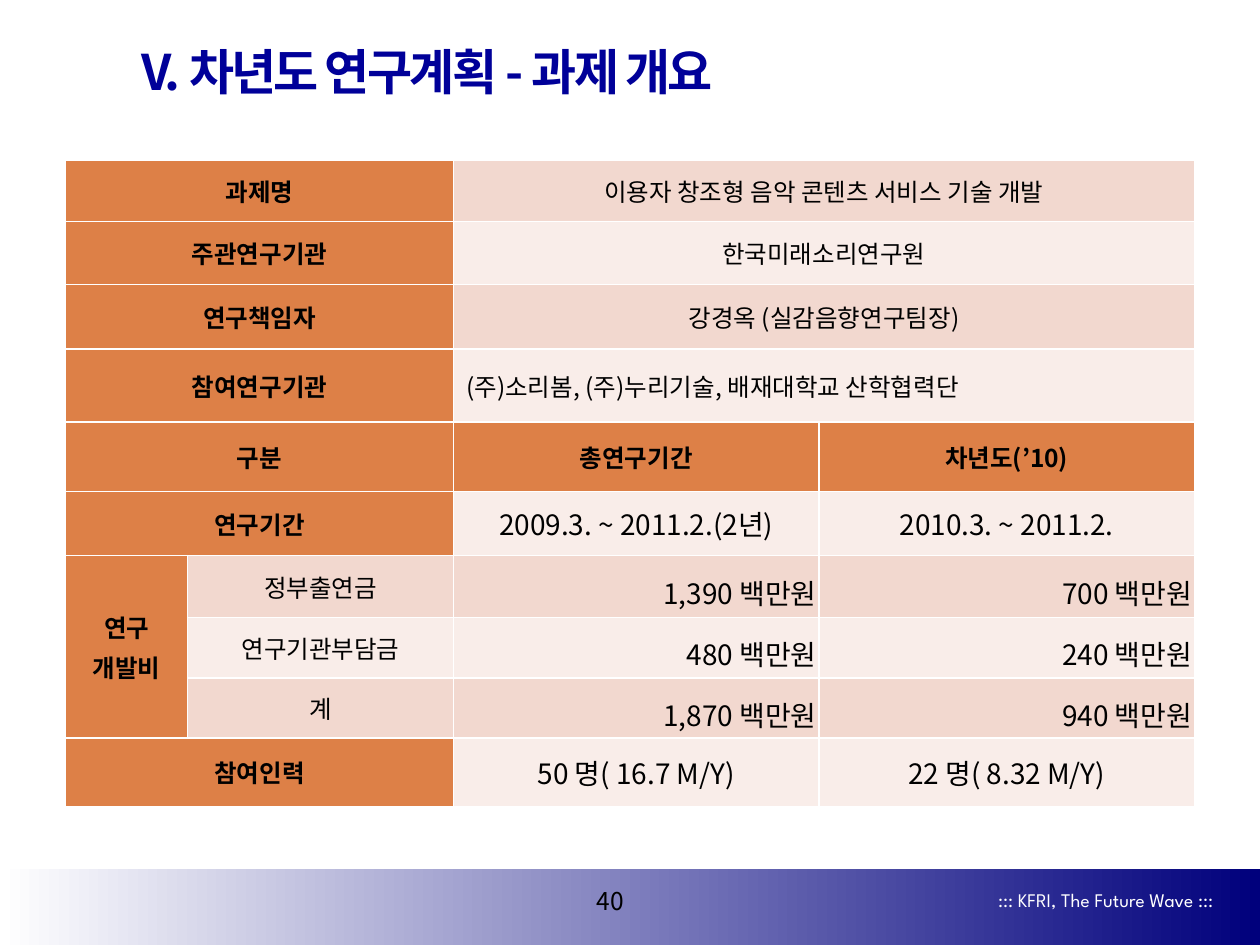
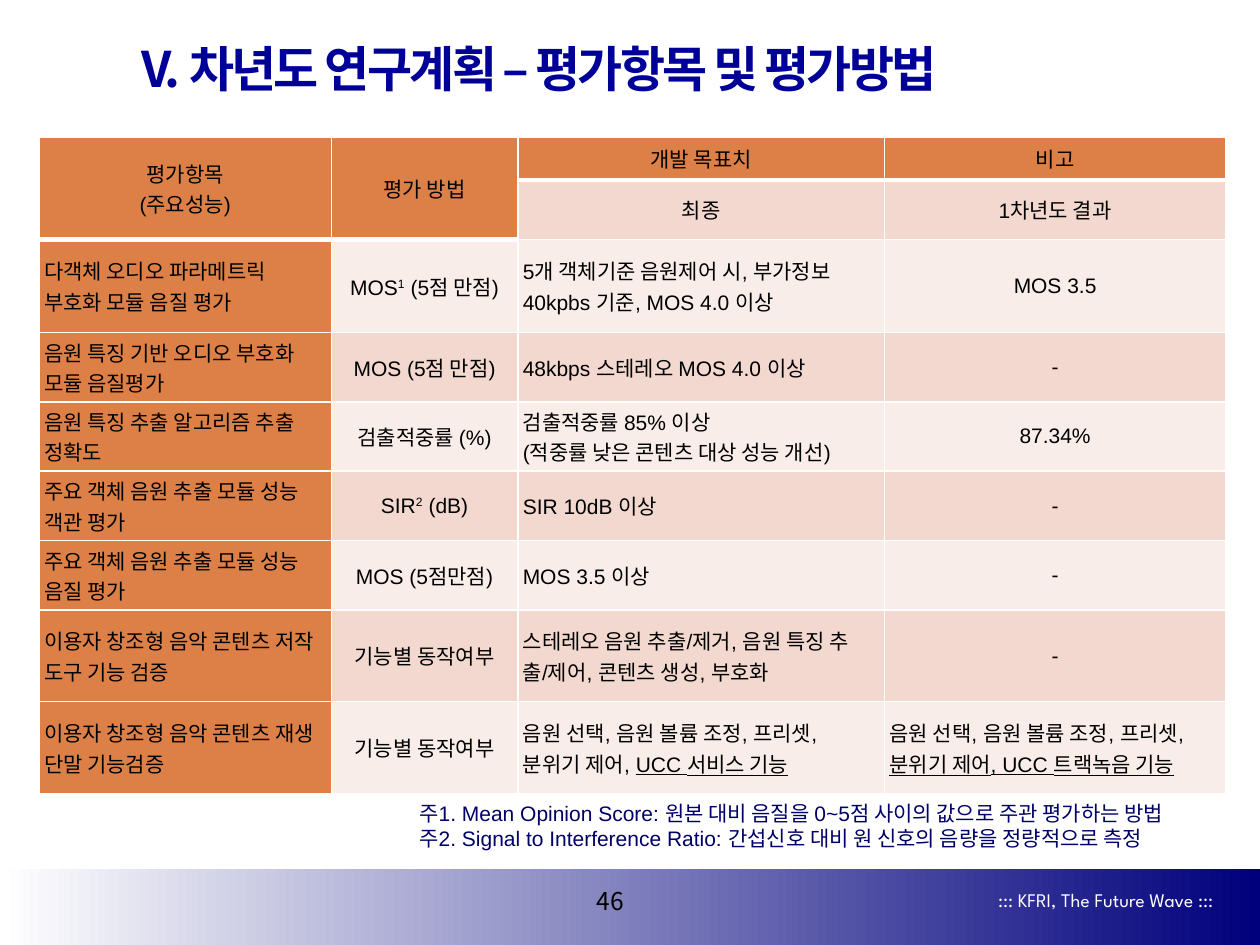
from dataclasses import dataclass

from lxml import etree
from pptx import Presentation
from pptx import util as u
from pptx.dml.color import RGBColor
from pptx.enum import shapes, text
from pptx.oxml import ns

HUES = {
    "orange": "DD8047", "rose": "F2D8CF", "pale": "F9EDE9", "white": "FFFFFF",
    "black": "000000", "navy": "00007C", "title": "000099", "note": "000066",
}
SANS, ARIAL, BRAND = "Noto Sans CJK KR", "Arial", "League Spartan"
LEFT, MID, RIGHT = text.PP_ALIGN.LEFT, text.PP_ALIGN.CENTER, text.PP_ALIGN.RIGHT
CENTER = text.MSO_ANCHOR.MIDDLE
SIDES = ("left", "top", "right", "bottom")


@dataclass(frozen=True)
class Look:
    size: float
    name: str = SANS
    hue: str = "black"
    bold: bool = False
    align: int = MID
    fill: str = ""
    pad: tuple = (0.1, 0.05)
    lead: float | None = None
    gap: float = 0


@dataclass(frozen=True)
class Grid:
    box: tuple
    cols: tuple
    high: tuple
    rows: tuple
    bands: tuple
    thick: str = ""


@dataclass(frozen=True)
class Page:
    title: str
    number: int
    anchor: int
    grid: Grid
    notes: tuple = ()


SLIM = (0.04, 0)
LOOKS = {
    "H": Look(14, bold=True, fill="orange", gap=2.8),
    "B": Look(14),
    "P": Look(14, align=LEFT),
    "D": Look(16),
    "N": Look(16, align=RIGHT, pad=(0.02, 0.02), lead=1.3),
    "K": Look(12, ARIAL, fill="orange", pad=SLIM),
    "T": Look(12, ARIAL, fill="orange", pad=SLIM, align=LEFT),
    "C": Look(12, ARIAL, pad=SLIM),
    "L": Look(12, ARIAL, pad=SLIM, align=LEFT),
}
TITLE = Look(28, hue="title", bold=True, align=LEFT)
PAGE_NO = Look(14)
SLOGAN = Look(11, BRAND, "white", align=RIGHT)
NOTE = Look(12, ARIAL, "note", align=LEFT, lead=u.Pt(14.3))

# Each row opens with one look per column; "<" joins the cell to its left, "^" the one above.
OUTLINE = Grid(
    (0.52, 1.27, 8.96, 5.13),
    (0.97, 2.11, 2.9, 2.98),
    (0.49, 0.5, 0.51, 0.58, 0.55, 0.51, 0.49, 0.48, 0.48, 0.54),
    (
        ("H<B<", "과제명", "이용자 창조형 음악 콘텐츠 서비스 기술 개발"),
        ("H<B<", "주관연구기관", "한국미래소리연구원"),
        ("H<B<", "연구책임자", "강경옥 (실감음향연구팀장)"),
        ("H<P<", "참여연구기관", "(주)소리봄, (주)누리기술, 배재대학교 산학협력단"),
        ("H<HH", "구분", "총연구기간", "차년도(’10)"),
        ("H<DD", "연구기간", "2009.3. ~ 2011.2.(2년)", "2010.3. ~ 2011.2."),
        ("HBNN", "연구\n개발비", "정부출연금", "1,390 백만원", "700 백만원"),
        ("^BNN", "연구기관부담금", "480 백만원", "240 백만원"),
        ("^BNN", "계", "1,870 백만원", "940 백만원"),
        ("H<DD", "참여인력", "50 명( 16.7 M/Y)", "22 명( 8.32 M/Y)"),
    ),
    ("rose", "pale"),
)

# A run after "|" is raised when it starts with "^" and underlined when it starts with "_".
TESTS = Grid(
    (0.31, 1.09, 9.42, 5.1),
    (2.32, 1.48, 2.91, 2.71),
    (0.34, 0.47, 0.74, 0.55, 0.55, 0.55, 0.55, 0.73, 0.73),
    (
        ("KKKK", "평가항목\n(주요성능)", "평가 방법", "개발 목표치", "비고"),
        ("^^CC", "최종", "1차년도 결과"),
        ("TCLC", "다객체 오디오 파라메트릭 부호화 모듈 음질 평가", "MOS|^1| (5점 만점)",
         "5개 객체기준 음원제어 시, 부가정보 40kpbs 기준, MOS 4.0 이상", "MOS 3.5"),
        ("TCLC", "음원 특징 기반 오디오 부호화 모듈 음질평가", "MOS (5점 만점)",
         "48kbps 스테레오 MOS 4.0 이상", "-"),
        ("TCLC", "음원 특징 추출 알고리즘 추출 정확도", "검출적중률 (%)",
         "검출적중률 85% 이상\n(적중률 낮은 콘텐츠 대상 성능 개선)", "87.34%"),
        ("TCLC", "주요 객체 음원 추출 모듈 성능 객관 평가", "SIR|^2| (dB)", "SIR 10dB 이상", "-"),
        ("TCLC", "주요 객체 음원 추출 모듈 성능 음질 평가", "MOS (5점만점)", "MOS 3.5 이상", "-"),
        ("TCLC", "이용자 창조형 음악 콘텐츠 저작 도구 기능 검증", "기능별 동작여부",
         "스테레오 음원 추출/제거, 음원 특징 추출/제어, 콘텐츠 생성, 부호화", "-"),
        ("TCLL", "이용자 창조형 음악 콘텐츠 재생 단말 기능검증", "기능별 동작여부",
         "음원 선택, 음원 볼륨 조정, 프리셋, 분위기 제어, |_UCC 서비스 기능",
         "음원 선택, 음원 볼륨 조정, 프리셋, |_분위기 제어, UCC 트랙녹음 기능"),
    ),
    ("pale", "rose"),
    thick="K",
)

PAGES = (
    Page("V. 차년도 연구계획 - 과제 개요", 40, text.MSO_ANCHOR.BOTTOM, OUTLINE),
    Page("V. 차년도 연구계획 – 평가항목 및 평가방법", 46, CENTER, TESTS, (
        "주1. Mean Opinion Score: 원본 대비 음질을 0~5점 사이의 값으로 주관 평가하는 방법",
        "주2. Signal to Interference Ratio: 간섭신호 대비 원 신호의 음량을 정량적으로 측정",
    )),
)


def rgb(hue: str) -> RGBColor:
    return RGBColor.from_string(HUES[hue])


def inches(vals: tuple) -> list:
    return [u.Inches(v) for v in vals]


def style(run, look: Look, mark: str = "", track: int = 0) -> None:
    vals = {"name": look.name, "size": u.Pt(look.size), "bold": look.bold}
    if mark == "_":
        vals["underline"] = True
    for key, val in vals.items():
        setattr(run.font, key, val)
    run.font.color.rgb = rgb(look.hue)
    props = run.font._element
    if mark == "^":
        props.set("baseline", "30000")
    if track:
        props.set("spc", str(track))
    etree.SubElement(props, ns.qn("a:ea")).set("typeface", SANS)


def write(frame, words: str, look: Look, track: int = 0) -> None:
    for i, line in enumerate(words.split("\n")):
        par = frame.paragraphs[0] if i == 0 else frame.add_paragraph()
        par.alignment = look.align
        if look.lead:
            par.line_spacing = look.lead
        if i and look.gap:
            par.space_before = u.Pt(look.gap)
        for part in line.split("|"):
            mark = part[0] if part[0] in "^_" else ""
            run = par.add_run()
            run.text = part[len(mark):]
            style(run, look, mark, track)


def label(slide, box: tuple, words: str, look: Look, wrap: bool = True,
          anchor: int = CENTER):
    frame = slide.shapes.add_textbox(*inches(box)).text_frame
    frame.word_wrap = wrap
    frame.vertical_anchor = anchor
    write(frame, words, look)
    return frame


def edge(cell, base: float) -> None:
    """Draw white borders, with the bottom one as wide as base."""
    props = cell._tc.get_or_add_tcPr()
    for i, (side, width) in enumerate(zip("LRTB", (1, 1, 1, base))):
        line = etree.Element(ns.qn(f"a:ln{side}"), w=str(u.Pt(width)))
        fill = etree.SubElement(line, ns.qn("a:solidFill"))
        etree.SubElement(fill, ns.qn("a:srgbClr")).set("val", HUES["white"])
        props.insert(i, line)


def span(rows: tuple, r: int, c: int) -> tuple:
    """Return the last row and column that the cell covers."""
    down, over = r, c
    while over + 1 < len(rows[r][0]) and rows[r][0][over + 1] == "<":
        over += 1
    while down + 1 < len(rows) and rows[down + 1][0][c] == "^":
        down += 1
    return down, over


def table(slide, grid: Grid) -> None:
    size = len(grid.rows), len(grid.cols)
    tab = slide.shapes.add_table(*size, *inches(grid.box)).table
    tab.first_row = tab.horz_banding = False
    for col, wide in zip(tab.columns, grid.cols):
        col.width = u.Inches(wide)
    for row, high in zip(tab.rows, grid.high):
        row.height = u.Inches(high)
    for r, (codes, *words) in enumerate(grid.rows):
        queue = iter(words)
        for c, code in enumerate(codes):
            if code in "<^":
                continue
            look, cell = LOOKS[code], tab.cell(r, c)
            down, over = span(grid.rows, r, c)
            for y in range(r, down + 1):
                for x in range(c, over + 1):
                    part = tab.cell(y, x)
                    part.fill.solid()
                    part.fill.fore_color.rgb = rgb(look.fill or grid.bands[r % 2])
                    edge(part, 3 if code in grid.thick else 1)
            if (down, over) != (r, c):
                cell.merge(tab.cell(down, over))
            cell.vertical_anchor = CENTER
            for side, pad in zip(SIDES, look.pad * 2):
                setattr(cell, f"margin_{side}", u.Inches(pad))
            write(cell.text_frame, next(queue), look)


def frame(slide, page: Page) -> None:
    """Draw the title, footer band, slogan and page number."""
    band = slide.shapes.add_shape(shapes.MSO_SHAPE.RECTANGLE, *inches((0, 6.9, 10, 0.6)))
    band.shadow.inherit = False
    band.line.fill.background()
    band.fill.gradient()
    band.fill.gradient_angle = 0
    for stop, hue in zip(band.fill.gradient_stops, ("white", "navy")):
        stop.color.rgb = rgb(hue)
    label(slide, (7.61, 7, 2.12, 0.28), "::: KFRI, The Future Wave :::", SLOGAN, wrap=False)
    label(slide, (4.53, 6.98, 0.63, 0.33), str(page.number), PAGE_NO)

    title = slide.shapes.title
    for key, val in zip(("left", "top", "width", "height"), inches((1.02, 0.23, 7.81, 0.62))):
        setattr(title, key, val)
    title.text_frame.auto_size = text.MSO_AUTO_SIZE.NONE
    title.text_frame.vertical_anchor = page.anchor
    write(title.text_frame, page.title, TITLE, track=-150)


def notes(slide, lines: tuple) -> None:
    box = label(slide, (3.23, 6.31, 6.72, 0.5), "\n".join(lines), NOTE,
                anchor=text.MSO_ANCHOR.TOP)
    for par in box.paragraphs:
        props = par._p.get_or_add_pPr()
        props.set("marL", str(u.Inches(0.3)))
        props.set("indent", str(u.Inches(-0.3)))


def main() -> None:
    deck = Presentation()
    deck.slide_width, deck.slide_height = inches((10, 7.5))
    for page in PAGES:
        slide = deck.slides.add_slide(deck.slide_layouts[5])
        frame(slide, page)
        table(slide, page.grid)
        if page.notes:
            notes(slide, page.notes)
    deck.save("out.pptx")


if __name__ == "__main__":
    main()
